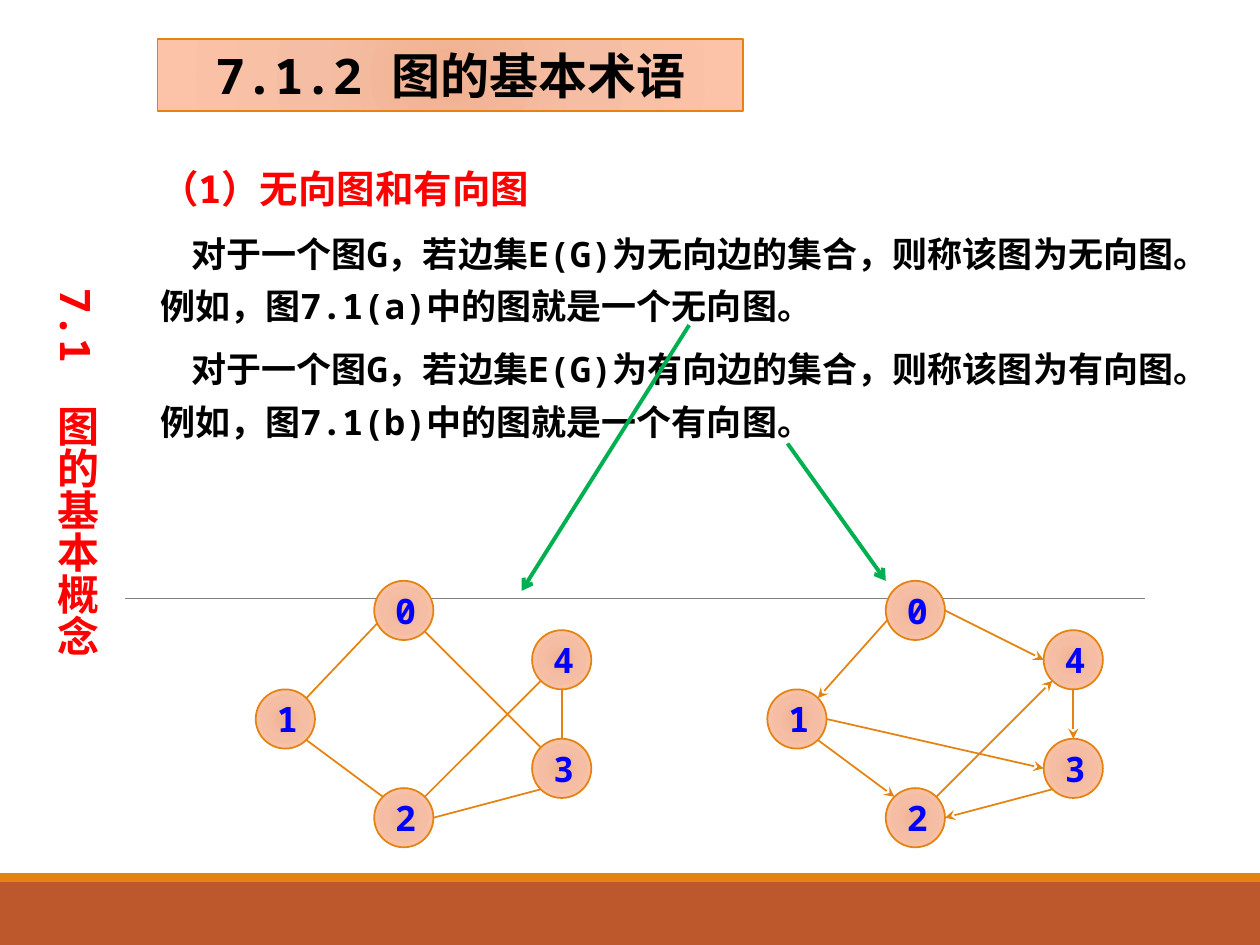
from math import cos, radians, sin

from lxml import etree
from pptx import Presentation
from pptx.dml.color import RGBColor
from pptx.enum.shapes import MSO_CONNECTOR, MSO_SHAPE
from pptx.enum.text import MSO_ANCHOR, MSO_AUTO_SIZE, PP_ALIGN
from pptx.oxml import parse_xml
from pptx.oxml.ns import nsdecls, qn
from pptx.util import Inches, Pt

STRAIGHT = MSO_CONNECTOR.STRAIGHT
OVAL, RECTANGLE = MSO_SHAPE.OVAL, MSO_SHAPE.RECTANGLE
CENTER, LEFT = PP_ALIGN.CENTER, PP_ALIGN.LEFT
MIDDLE, TOP = MSO_ANCHOR.MIDDLE, MSO_ANCHOR.TOP
NO_AUTOFIT = MSO_AUTO_SIZE.NONE

THEME = {
    "font": "Noto Sans Mono",
    "title": 28, "side": 24, "heading": 22, "body": 20, "node": 20,
    "black": "000000", "red": "FF0000", "blue": "0000FF",
    "orange": "E48312", "rust": "BD582C", "green": "00B050", "gray": "808080",
    "gradient": [(0, "F0B191"), (45, "F5BEA4"), (100, "FDC3A8")],
}
WIDTH, HEIGHT = 10, 7.5
NODE = 0.47
CELL = NODE / 6  # the graphs sit on a grid of six cells to a node
GRAPH_TOP = 4.61
NODE_CELLS = {0: (12, 0), 1: (0, 11), 2: (12, 21), 4: (28, 5), 3: (28, 16)}
EAST, SOUTHEAST, SOUTH, SOUTHWEST = 0, 45, 90, 135
WEST, NORTHWEST, NORTH, NORTHEAST = 180, 225, 270, 315

# Each graph: left edge, arrowhead, and edges as (node, side, node, side)
GRAPHS = [
    (2.03, None, [
        (0, 154, 1, NORTHEAST), (1, SOUTHEAST, 2, NORTHWEST),
        (0, SOUTHEAST, 3, NORTHWEST), (2, EAST, 3, SOUTHWEST),
        (4, SOUTH, 3, NORTH), (4, SOUTHWEST, 2, NORTHEAST),
    ]),
    (6.09, "stealth", [
        (0, EAST, 4, WEST), (4, SOUTH, 3, NORTH),
        (0, 161, 1, NORTHEAST), (1, SOUTHEAST, 2, NORTHWEST),
        (1, EAST, 3, WEST), (3, SOUTHWEST, 2, EAST),
        (2, NORTHEAST, 4, SOUTHWEST),
    ]),
]


def write_text(paragraph, text, *, size, color, align=LEFT, line=None, before=0, indent=0):
    properties = paragraph._p.get_or_add_pPr()
    properties.set("marL", "0")
    properties.set("indent", str(Inches(indent)))
    etree.SubElement(properties, qn("a:buNone"))
    paragraph.alignment = align
    paragraph.space_before = Pt(before)
    if line:
        paragraph.line_spacing = Pt(line)
    run = paragraph.add_run()
    run.text = text
    run.font.size = Pt(THEME[size])
    run.font.bold = True
    run.font.color.rgb = RGBColor.from_string(THEME[color])
    run.font.name = THEME["font"]
    etree.SubElement(run._r.get_or_add_rPr(), qn("a:ea"), typeface=THEME["font"])


def draw_line(shapes, start, end, *, color, width, head=None):
    connector = shapes.add_connector(STRAIGHT, *map(Inches, (*start, *end)))
    connector.line.color.rgb = RGBColor.from_string(THEME[color])
    connector.line.width = Pt(width)
    if head:
        etree.SubElement(connector.line._get_or_add_ln(), qn("a:tailEnd"), type=head)
    etree.SubElement(connector._element.spPr, qn("a:effectLst"))


presentation = Presentation()
presentation.slide_width, presentation.slide_height = Inches(WIDTH), Inches(HEIGHT)
slide = presentation.slides.add_slide(presentation.slide_layouts[1])
title, body = slide.placeholders

# Footer bars and rule
for top, height, color in [(7, 0.5, "rust"), (6.93, 0.07, "orange")]:
    bar = slide.shapes.add_shape(RECTANGLE, 0, Inches(top), Inches(WIDTH), Inches(height))
    bar.shadow.inherit = False
    bar.fill.solid()
    bar.fill.fore_color.rgb = RGBColor.from_string(THEME[color])
    bar.line.fill.background()
draw_line(slide.shapes, (0.99, 4.75), (9.09, 4.75), color="gray", width=0.5)

# Title and body
for placeholder, box, anchor in [
    (title, (1.25, 0.31, 4.65, 0.57), MIDDLE),
    (body, (1.17, 1.21, 8.67, 2.37), TOP),
]:
    placeholder.left, placeholder.top, placeholder.width, placeholder.height = map(Inches, box)
    placeholder.text_frame.auto_size = NO_AUTOFIT
    placeholder.text_frame.vertical_anchor = anchor
write_text(title.text_frame.paragraphs[0], "7.1.2 图的基本术语",
           size="title", color="black", align=CENTER)
write_text(body.text_frame.paragraphs[0], "（1）无向图和有向图",
           size="heading", color="red", line=30)
for text in [
    "对于一个图G，若边集E(G)为无向边的集合，则称该图为无向图。例如，图7.1(a)中的图就是一个无向图。",
    "对于一个图G，若边集E(G)为有向边的集合，则称该图为有向图。例如，图7.1(b)中的图就是一个有向图。",
]:
    write_text(body.text_frame.add_paragraph(), text,
               size="body", color="black", line=30, before=6, indent=0.25)

# Undirected and directed graph
gradient_shapes = [title]
for graph_left, head, edges in GRAPHS:
    graph = slide.shapes.add_group_shape()
    centers = {}
    for label, (column, row) in NODE_CELLS.items():
        left, top = graph_left + column * CELL, GRAPH_TOP + row * CELL
        centers[label] = left + NODE / 2, top + NODE / 2
        node = graph.shapes.add_shape(OVAL, *map(Inches, (left, top, NODE, NODE)))
        node.shadow.inherit = False
        node.text_frame.vertical_anchor = MIDDLE
        write_text(node.text_frame.paragraphs[0], str(label),
                   size="node", color="blue", align=CENTER)
        gradient_shapes.append(node)
    for first, first_side, second, second_side in edges:
        start, end = [
            (centers[label][0] + NODE / 2 * cos(radians(side)),
             centers[label][1] + NODE / 2 * sin(radians(side)))
            for label, side in [(first, first_side), (second, second_side)]
        ]
        draw_line(graph.shapes, start, end, color="orange", width=1, head=head)

# Shared radial fill and outline
stops = "".join(
    f'<a:gs pos="{position * 1000}"><a:srgbClr val="{color}"/></a:gs>'
    for position, color in THEME["gradient"]
)
for shape in gradient_shapes:
    shape.fill.gradient()
    gradient = shape._element.spPr.find(qn("a:gradFill"))
    gradient.getparent().replace(gradient, parse_xml(
        f'<a:gradFill {nsdecls("a")} rotWithShape="1"><a:gsLst>{stops}</a:gsLst>'
        '<a:path path="circle"><a:fillToRect l="100000" t="100000" r="100000" b="100000"/>'
        '</a:path></a:gradFill>'))
    shape.line.color.rgb = RGBColor.from_string(THEME["orange"])
    shape.line.width = Pt(1)

# Arrows from the text to the graphs
for start, end in [((5.47, 2.58), (4.14, 4.69)), ((6.25, 3.52), (7.03, 4.61))]:
    draw_line(slide.shapes, start, end, color="green", width=2.25, head="arrow")

# Vertical section name
section = slide.shapes.add_textbox(*map(Inches, (0.25, 2.19, 0.61, 3.44)))
section.text_frame.word_wrap = True
section.text_frame._txBody.bodyPr.set("vert", "eaVert")
write_text(section.text_frame.paragraphs[0], "7.1　图的基本概念", size="side", color="red")

presentation.save("out.pptx")
